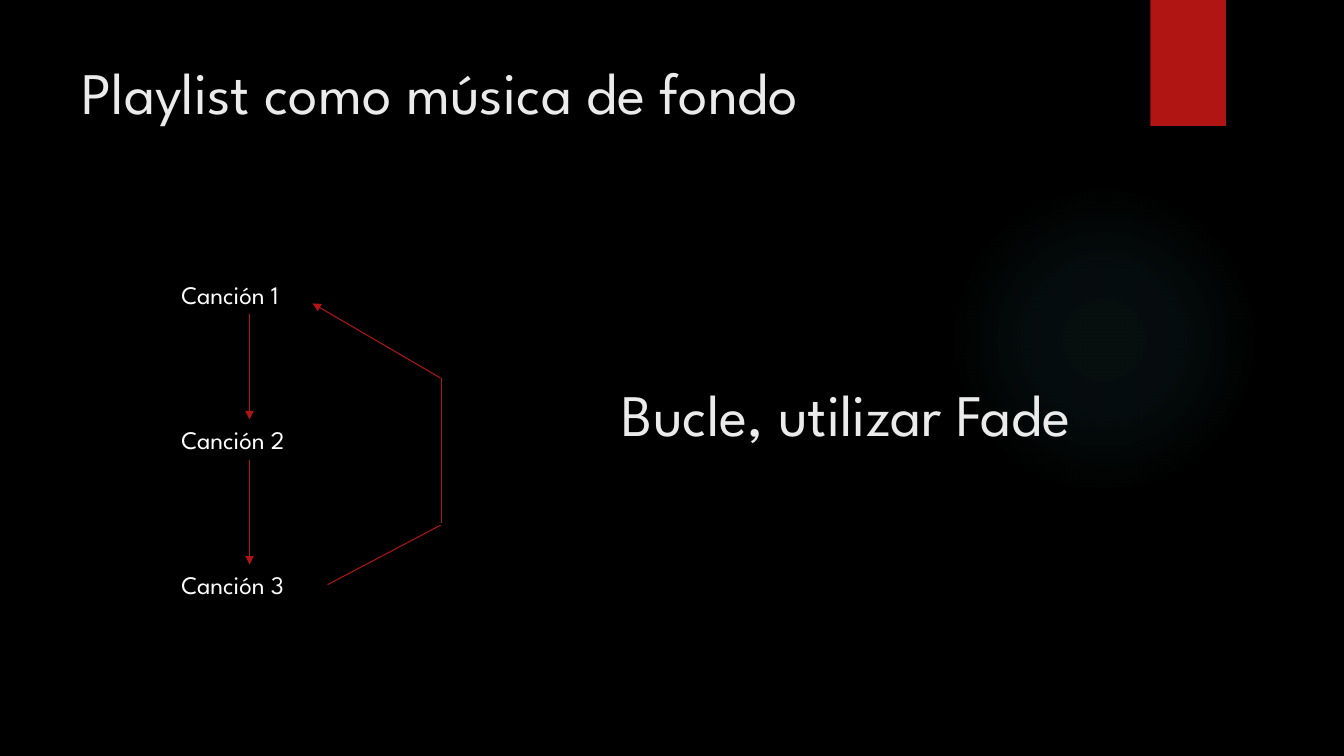
"""Build the slide on a looping playlist as background music."""
from pptx import Presentation
from pptx.dml.color import RGBColor
from pptx.enum.shapes import MSO_CONNECTOR, MSO_SHAPE
from pptx.enum.text import MSO_ANCHOR
from pptx.oxml import parse_xml
from pptx.oxml.ns import nsdecls
from pptx.util import Inches, Pt

THEME = {
    "font": "League Spartan", "head": 42, "body": 18, "line": 0.75,
    "back": "000000", "pale": "EBEBEB", "white": "FFFFFF",
    "red": "B01513", "glow": "50B9C1",
}
HEADS = [
    ("Playlist como música de fondo", (0.71, 0.5, 10.29, 1.53)),
    ("Bucle, utilizar Fade", (6.07, 3.7, 5.31, 1.53)),
]
SONGS = ["Canción 1", "Canción 2", "Canción 3"]
LEFT, TOP, WIDE, HIGH, STEP = 1.7, 2.72, 1.55, 0.4, 1.44
LOOP = [
    ((3.25, 5.8), (4.37, 5.21), False),
    ((4.38, 5.19), (4.38, 3.75), False),
    ((4.37, 3.75), (3.1, 3.01), True),
]
GLOW = [(0, 7), (36, 6), (69, 0)]
GLOW_BOX = (9.41, 1.83, 3.08, 3.08)
TAB_BOX = (11.41, 0, 0.75, 1.25)


def color(name):
    return RGBColor.from_string(THEME[name])


def make(xml):
    head, rest = xml.split(">", 1)
    return parse_xml(f"{head} {nsdecls('a')}>{rest}")


def add_shape(slide, kind, box):
    shape = slide.shapes.add_shape(kind, *map(Inches, box))
    shape.shadow.inherit = False
    shape.line.fill.background()
    return shape


def add_glow(slide):
    shape = add_shape(slide, MSO_SHAPE.OVAL, GLOW_BOX)
    stops = "".join(
        f'<a:gs pos="{pos * 1000}"><a:srgbClr val="{THEME["glow"]}">'
        f'<a:alpha val="{alpha * 1000}"/></a:srgbClr></a:gs>'
        for pos, alpha in GLOW)
    shape.element.spPr.insert(2, make(
        f'<a:gradFill ><a:gsLst>{stops}</a:gsLst><a:path path="circle">'
        '<a:fillToRect l="50000" t="50000" r="50000" b="50000"/>'
        '</a:path></a:gradFill>'))


def add_tab(slide):
    shape = add_shape(slide, MSO_SHAPE.RECTANGLE, TAB_BOX)
    shape.fill.solid()
    shape.fill.fore_color.rgb = color("red")
    shape.element.spPr[-1].append(make(
        f'<a:outerShdw blurRad="{Pt(3)}" dist="{Pt(2)}" dir="5400000" rotWithShape="0">'
        '<a:srgbClr val="000000"><a:alpha val="45000"/></a:srgbClr></a:outerShdw>'))


def add_text(slide, text, box, size, ink):
    frame = slide.shapes.add_textbox(*map(Inches, box)).text_frame
    frame.word_wrap = True
    frame.vertical_anchor = MSO_ANCHOR.TOP
    para = frame.paragraphs[0]
    para.text = text
    para.font.name = THEME["font"]
    para.font.size = Pt(THEME[size])
    para.font.color.rgb = color(ink)


def add_line(slide, start, end, arrow):
    line = slide.shapes.add_connector(
        MSO_CONNECTOR.STRAIGHT, *map(Inches, start + end))
    line.line.color.rgb = color("red")
    line.line.width = Pt(THEME["line"])
    if arrow:
        line.line._get_or_add_ln().append(make('<a:tailEnd type="triangle"></a:tailEnd>'))
    line.element.spPr.append(make("<a:effectLst ></a:effectLst>"))


def main():
    deck = Presentation()
    deck.slide_width, deck.slide_height = Inches(13.33), Inches(7.5)
    slide = deck.slides.add_slide(deck.slide_layouts[6])
    slide.background.fill.solid()
    slide.background.fill.fore_color.rgb = color("back")
    add_glow(slide)
    add_tab(slide)
    for text, box in HEADS:
        add_text(slide, text, box, "head", "pale")
    mid = LEFT + WIDE / 2
    for i, song in enumerate(SONGS):
        top = TOP + i * STEP
        add_text(slide, song, (LEFT, top, WIDE, HIGH), "body", "white")
        if i:
            add_line(slide, (mid, top - STEP + HIGH), (mid, top), True)
    for start, end, arrow in LOOP:
        add_line(slide, start, end, arrow)
    deck.save("out.pptx")


if __name__ == "__main__":
    main()
